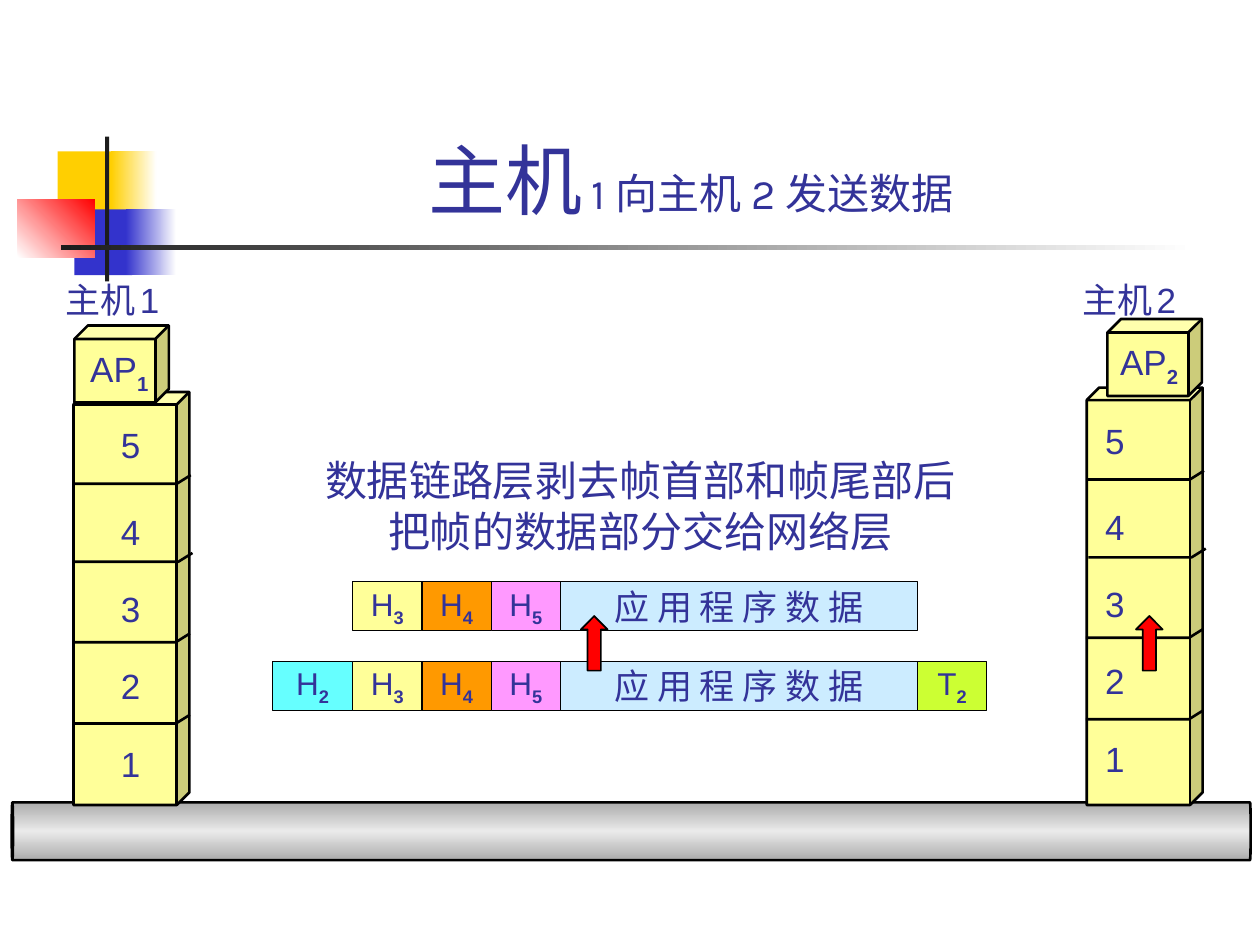
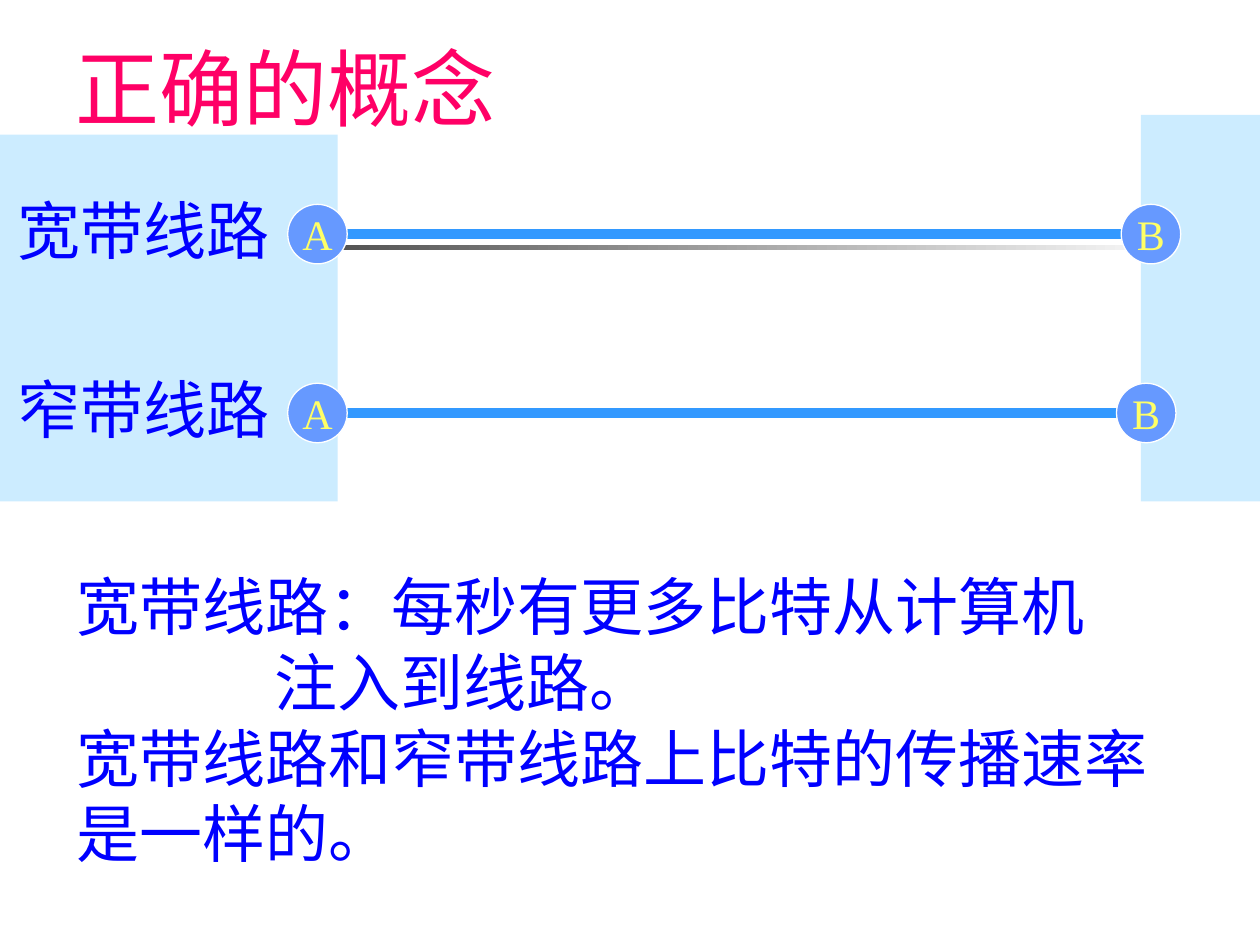
from copy import deepcopy

from lxml.etree import SubElement
from pptx import Presentation
from pptx.dml.color import RGBColor
from pptx.enum.shapes import MSO_CONNECTOR, MSO_SHAPE
from pptx.enum.text import MSO_ANCHOR, MSO_AUTO_SIZE, PP_ALIGN
from pptx.oxml.ns import qn
from pptx.util import Pt

INDIGO, BLUE, BLACK, WHITE = "333399", "0000FF", "000000", "FFFFFF"
YELLOW, PALE_BLUE, CHARCOAL = "FFFF99", "CCECFF", "1C1C1C"
SANS, TITLE_FONT, SERIF = "Arial", "Karla", "Times New Roman"

HEADERS = [("3", YELLOW), ("4", "FF9900"), ("5", "FF99FF")]
CELL_WIDTH, CELL_HEIGHT = 39.6, 28
FIRST_HEADER_LEFT, DATA_LEFT, DATA_WIDTH = 201.5, 320.3, 204
LAYER_LABEL_TOPS = [14.5, 64, 108, 152, 196.5]
LAYER_DIVIDERS = [(0, 52.5), (1, 97), (-0.5, 143), (-0.5, 189.5)]


def rgb(hex_color):
    return RGBColor.from_string(hex_color)


def paint(shape, fill=None, line=None, width=0.75):
    shape.shadow.inherit = False
    if fill:
        shape.fill.solid()
        shape.fill.fore_color.rgb = rgb(fill)
    else:
        shape.fill.background()
    if line:
        shape.line.color.rgb = rgb(line)
        shape.line.width = Pt(width)
    else:
        shape.line.fill.background()


def add_block(slide, kind, box, fill=None, line=None, width=0.75, adjustments=()):
    shape = slide.shapes.add_shape(kind, *map(Pt, box))
    for index, value in enumerate(adjustments):
        shape.adjustments[index] = value
    paint(shape, fill, line, width)
    return shape


def shade(shape, colors, angle=0):
    """Fill with evenly spaced gradient stops; the angle runs clockwise."""
    fill = shape.fill
    fill.gradient()
    fill.gradient_angle = (360 - angle) % 360
    stop_list = shape.element.spPr.find(qn("a:gradFill")).find(qn("a:gsLst"))
    while len(stop_list) < len(colors):
        stop_list.append(deepcopy(stop_list[-1]))
    for index, (stop, color) in enumerate(zip(fill.gradient_stops, colors)):
        stop.color.rgb = rgb(color)
        stop.position = index / (len(colors) - 1)


def write(paragraph, runs, size, font=SANS, color=INDIGO, align=PP_ALIGN.LEFT, sub=""):
    """Each run is a text or a (text, size) pair; sub is a bold subscript."""
    paragraph.alignment = align
    paragraph.font.size = Pt(size)
    paragraph.font.name = font
    paragraph.font.color.rgb = rgb(color)
    for part in runs:
        text, own_size = (part, None) if isinstance(part, str) else part
        run = paragraph.add_run()
        run.text = text
        if own_size:
            run.font.size = Pt(own_size)
    if sub:
        run = paragraph.add_run()
        run.text = sub
        run.font.bold = True
        run._r.get_or_add_rPr().set("baseline", "-25000")


def add_label(slide, box, lines, size, wrap=False, anchor=MSO_ANCHOR.TOP, **style):
    """Each line is a list of runs and becomes one paragraph."""
    frame = slide.shapes.add_textbox(*map(Pt, box)).text_frame
    frame.word_wrap = wrap
    frame.vertical_anchor = anchor
    if anchor == MSO_ANCHOR.TOP:
        frame.auto_size = MSO_AUTO_SIZE.SHAPE_TO_FIT_TEXT
    for index, runs in enumerate(lines):
        paragraph = frame.add_paragraph() if index else frame.paragraphs[0]
        write(paragraph, runs, size, **style)
    return frame


def add_title(slide, box, runs, size, **style):
    add_label(slide, box, [runs], size, wrap=True, anchor=MSO_ANCHOR.BOTTOM,
              font=TITLE_FONT, **style)


def caption(shape, text, size, **style):
    frame = shape.text_frame
    frame.word_wrap = False
    frame.vertical_anchor = MSO_ANCHOR.MIDDLE
    write(frame.paragraphs[0], [text], size, align=PP_ALIGN.CENTER, **style)


def add_title_rule(slide):
    rule = add_block(slide, MSO_SHAPE.RECTANGLE, (34.9, 140.2, 648, 2.5))
    shade(rule, [CHARCOAL, WHITE])


def add_corner_squares(slide):
    for box, colors, angle in [
        ((33, 86.5, 34.5, 37.5), ["FFCF01"], 0),
        ((63.5, 86.5, 26, 37.5), ["FFCF01", WHITE], 0),
        ((42.5, 119.7, 33, 37.5), ["3333CC"], 0),
        ((72, 119.7, 28.8, 37.5), ["3333CC", WHITE], 0),
        ((10, 113.8, 44.2, 33.3), [WHITE, "FF0000"], 315),
        ((60, 78, 2.4, 82.8), [CHARCOAL], 0),
    ]:
        square = add_block(slide, MSO_SHAPE.RECTANGLE, box, colors[0])
        if len(colors) > 1:
            shade(square, colors, angle)


def add_cell(slide, left, top, width, fill, text, size=18, **style):
    cell = add_block(slide, MSO_SHAPE.RECTANGLE, (left, top, width, CELL_HEIGHT), fill, BLACK)
    caption(cell, text, size, **style)


def add_packet(slide, top):
    for index, (layer, fill) in enumerate(HEADERS):
        left = FIRST_HEADER_LEFT + index * CELL_WIDTH
        add_cell(slide, left, top, CELL_WIDTH, fill, "H", sub=layer)
    add_cell(slide, DATA_LEFT, top, DATA_WIDTH, PALE_BLUE, "应 用 程 序 数 据", 20,
             font=TITLE_FONT)


def add_divider(slide, left, top):
    """Draw the edge between two layers across the front and side of the stack."""
    builder = slide.shapes.build_freeform(Pt(left), Pt(top))
    builder.add_line_segments(
        [(Pt(left + 59), Pt(top)), (Pt(left + 67), Pt(top - 5))], close=False)
    paint(builder.convert_to_shape(), line=BLACK, width=1.5)


def add_host(slide, number, left, top, label_left, name_left, app_corner, app_label):
    add_block(slide, MSO_SHAPE.CUBE, (left, top, 66.2, 460 - top), YELLOW, BLACK, 1.5, [0.108])
    for layer, offset in zip("54321", LAYER_LABEL_TOPS):
        add_label(slide, (label_left, top + offset, 25, 31.5), [[layer]], 20)
    for shift, offset in LAYER_DIVIDERS:
        add_divider(slide, left + shift, top + offset)
    add_block(slide, MSO_SHAPE.CUBE, (*app_corner, 54, 44), YELLOW, BLACK, 1.5, [0.176])
    add_label(slide, (*app_label, 47.5, 34.5), [["AP"]], 20, sub=number)
    add_label(slide, (name_left, 155.5, 85, 31.5), [["主机", (" ", 10), number]], 20,
              wrap=True)


def add_line(slide, start_x, end_x, y):
    connector = slide.shapes.add_connector(
        MSO_CONNECTOR.STRAIGHT, Pt(start_x), Pt(y), Pt(end_x), Pt(y))
    connector.line.color.rgb = rgb("3399FF")
    connector.line.width = Pt(6)
    SubElement(connector._element.spPr, qn("a:effectLst"))


def add_circuit(slide, name, y, left_x, right_x):
    """Draw a named line between the end points A and B."""
    radius = 17
    add_line(slide, left_x, right_x, y)
    for letter, x in (("A", left_x), ("B", right_x)):
        station = add_block(slide, MSO_SHAPE.OVAL,
                            (x - radius, y - radius, 2 * radius, 2 * radius), "6699FF", WHITE)
        caption(station, letter, 24, font=SERIF, color="FFFF66")
    add_label(slide, (3, y - 28, 158.5, 50.5), [[name]], 36, font=SERIF, color=BLUE)


def build_host_slide(slide):
    add_corner_squares(slide)
    add_title_rule(slide)
    add_title(slide, (88, 60, 613.5, 72), ["主机", (" 1 向主机 2 发送数据", 24)], 44,
              align=PP_ALIGN.CENTER)

    cable = add_block(slide, MSO_SHAPE.CAN, (344.2, 121, 33, 708), YELLOW, BLACK, 1.5, [0.023])
    cable.rotation = 270
    shade(cable, ["ACACAC", "EAEAEA", "ACACAC"])

    add_host(slide, "1", 42, 224, 62, 30.5, (42.5, 186), (44.5, 195))
    add_host(slide, "2", 621, 221.5, 624.5, 611.5, (632.8, 182.3), (633, 191))
    add_label(slide, (178.5, 256.3, 374.5, 65),
              [["数据链路层剥去帧首部和帧尾部后"], ["把帧的数据部分交给网络层"]], 24,
              wrap=True, align=PP_ALIGN.CENTER)

    packet_top, frame_top = 332.5, 378
    add_packet(slide, packet_top)
    add_packet(slide, frame_top)
    add_cell(slide, 155.7, frame_top, 45.8, "66FFFF", "H", sub="2")
    add_cell(slide, DATA_LEFT + DATA_WIDTH, frame_top, CELL_WIDTH, "CCFF33", "T", sub="2")
    for left in (332, 649.2):
        add_block(slide, MSO_SHAPE.UP_ARROW, (left, 352, 15.2, 31.2), "FF0000", BLACK, 1,
                  [0.5, 0.504])


def build_concept_slide(slide):
    add_title_rule(slide)
    for box in ((0, 77, 193, 209.5), (652, 65.7, 68, 220.8)):
        add_block(slide, MSO_SHAPE.RECTANGLE, box, PALE_BLUE)
    add_circuit(slide, "宽带线路", 133.8, 181.4, 657.7)
    add_circuit(slide, "窄带线路", 236, 181.4, 655)

    explanation = add_label(
        slide, (36.7, 321, 652.3, 180),
        [["宽带线路：每秒有更多比特从计算机"], ["注入到线路。"],
         ["宽带线路和窄带线路上比特的传播速率是一样的。"]],
        36, wrap=True, font=SERIF, color=BLUE)
    explanation.paragraphs[1]._p.get_or_add_pPr().set("marL", str(Pt(113)))
    add_title(slide, (36, -7, 648, 89), ["正确的概念"], 48, color="FF0066")


def main():
    deck = Presentation()
    deck.slide_width, deck.slide_height = Pt(720), Pt(540)
    blank = deck.slide_layouts[6]
    for build in (build_host_slide, build_concept_slide):
        build(deck.slides.add_slide(blank))
    deck.save("out.pptx")


if __name__ == "__main__":
    main()
